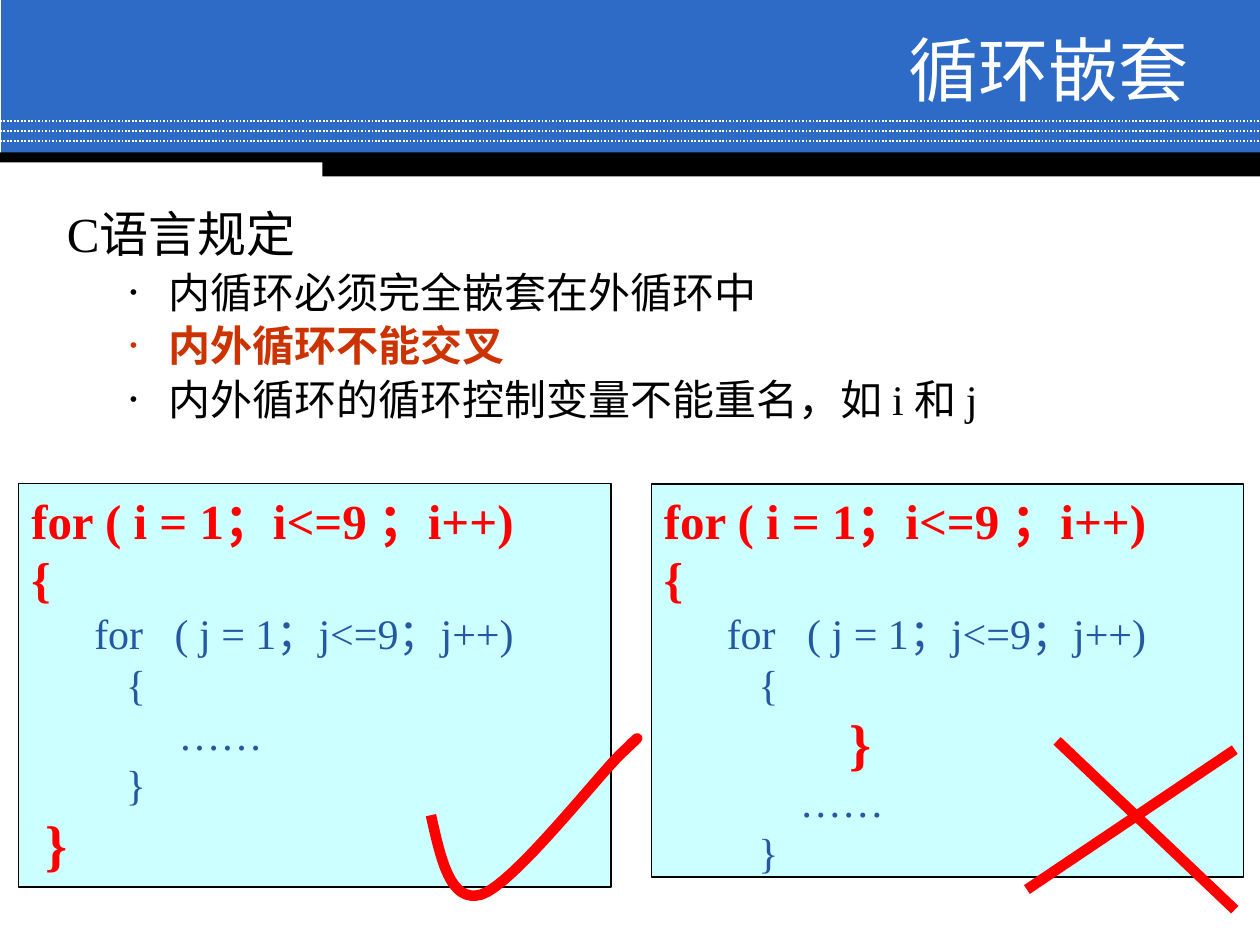
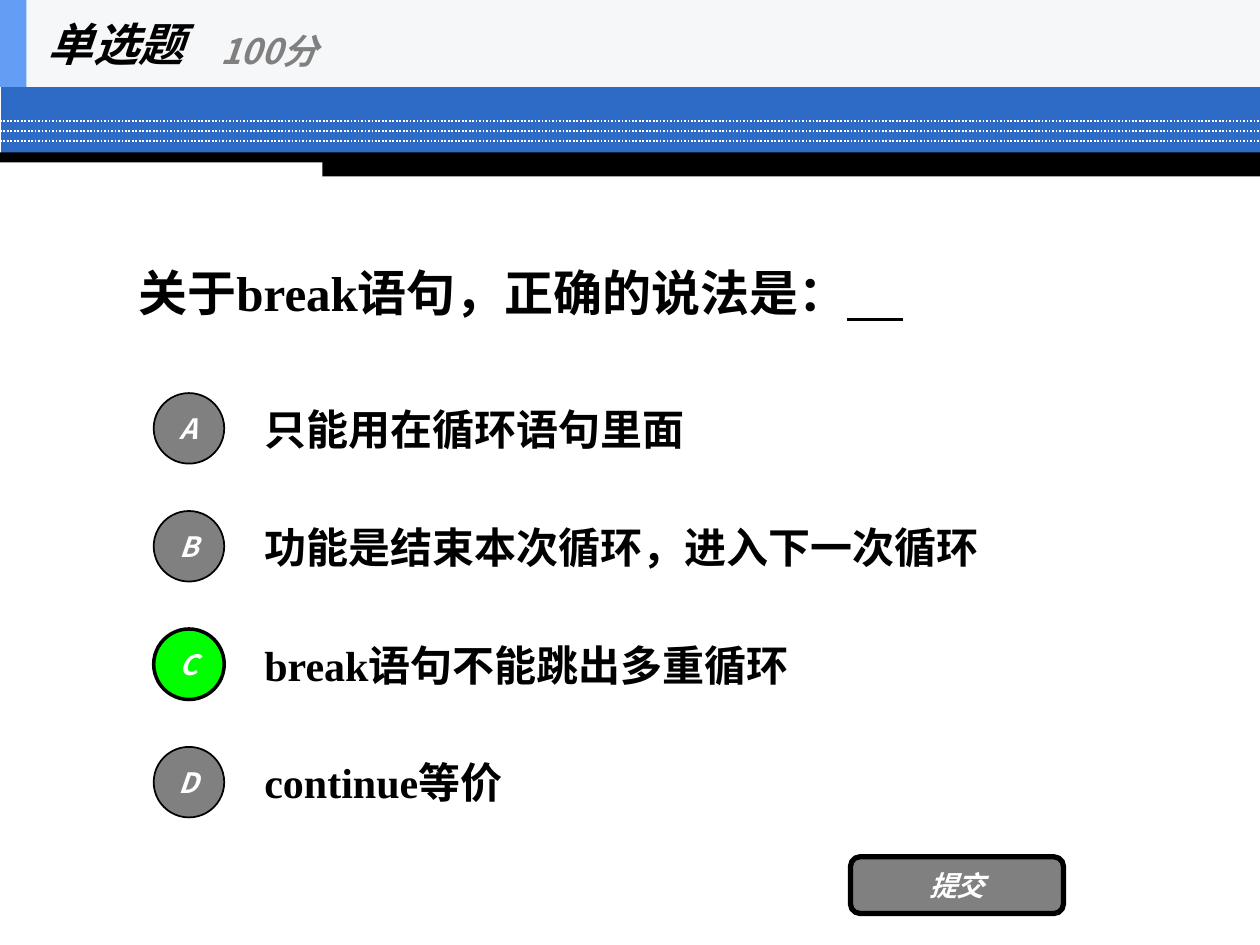
from dataclasses import dataclass
from pptx import Presentation
from pptx.dml.color import RGBColor
from pptx.enum.dml import MSO_LINE
from pptx.enum.shapes import MSO_CONNECTOR, MSO_SHAPE
from pptx.enum.text import MSO_ANCHOR, MSO_AUTO_SIZE, PP_ALIGN
from pptx.oxml.ns import qn
from pptx.util import Inches, Pt
from lxml.etree import SubElement


@dataclass(frozen=True)
class Theme:
    serif: str = "Times New Roman"
    sans: str = "Noto Sans CJK SC"
    band: str = "2D6BC7"
    black: str = "000000"
    white: str = "FFFFFF"
    red: str = "FF0000"
    warning: str = "CC3300"
    inner_code: str = "2558A3"
    code_fill: str = "CCFFFF"
    grey: str = "808080"
    correct: str = "00FF00"
    header: str = "F6F7F8"
    accent: str = "639EF4"
    title_size: int = 40
    heading_size: int = 28
    brace_size: int = 32
    text_size: int = 24
    label_size: int = 16
    type_size: int = 26
    score_size: int = 20


THEME = Theme()


def style(size, color=THEME.black, name=THEME.serif, **extra):
    return {"size": Pt(size), "color": color, "name": name, **extra}


TITLE = style(THEME.title_size, THEME.white, THEME.sans, bold=False)
HEADING = style(THEME.heading_size)
POINT = style(THEME.text_size)
WARNING = style(THEME.text_size, THEME.warning, bold=True)
OUTER = style(THEME.heading_size, THEME.red, bold=True)
INNER = style(THEME.text_size, THEME.inner_code)
CLOSING = style(THEME.brace_size, THEME.red, bold=True)
QUESTION = style(THEME.heading_size, bold=True)
BLANK = {**QUESTION, "underline": True}
OPTION = style(THEME.text_size, bold=True)
LABEL = style(THEME.label_size, THEME.white, THEME.sans, bold=True, italic=True)
QUIZ_TYPE = style(THEME.type_size, THEME.black, THEME.sans, bold=True, italic=True)
SCORE = style(THEME.score_size, THEME.grey, THEME.sans, bold=True, italic=True)

RULES = [
    ("C语言规定", HEADING),
    ("内循环必须完全嵌套在外循环中", POINT),
    ("内外循环不能交叉", WARNING),
    ("内外循环的循环控制变量不能重名，如 i 和 j", POINT),
]

LOOP_START = [
    (0, "for ( i = 1；i<=9 ；i++)", OUTER),
    (0, "{", OUTER),
    (0.5, "for   ( j = 1；j<=9；j++)", INNER),
    (0.75, "{", INNER),
]
NESTED_LOOP = LOOP_START + [
    (1.17, "……", INNER), (0.75, "}", INNER), (0.11, "}", CLOSING),
]
CROSSED_LOOP = LOOP_START + [
    (1.47, "}", CLOSING), (1.08, "……", INNER), (0.75, "}", INNER),
]
CODE_BOXES = [
    ((5.17, 3.84, 4.7, 3.12), CROSSED_LOOP),
    ((0.15, 3.84, 4.7, 3.2), NESTED_LOOP),
]
CHECK_CURVES = [
    ((3.42, 6.47), (3.5, 6.82), (3.57, 7.17), (3.82, 7.1)),
    ((3.82, 7.1), (4.07, 7.02), (4.72, 6.19), (4.92, 5.99)),
    ((4.92, 5.99), (5.12, 5.8), (5.06, 5.86), (5, 5.91)),
]
CROSS_STROKES = [((9.8, 5.95), (8.15, 7.06)), ((8.39, 5.88), (9.8, 7.22))]

OPTIONS = [
    ("A", "只能用在循环语句里面"),
    ("B", "功能是结束本次循环，进入下一次循环"),
    ("C", "break语句不能跳出多重循环"),
    ("D", "continue等价"),
]
ANSWER = "C"
OPTION_TOP, OPTION_STEP = 3.05, 0.936


def place(box, area):
    for side, value in zip(("left", "top", "width", "height"), area):
        setattr(box, side, Inches(value))


def add_span(para, text, look):
    span = para.add_run()
    span.text = text
    for key, value in look.items():
        if key == "color":
            span.font.color.rgb = RGBColor.from_string(value)
        else:
            setattr(span.font, key, value)
    east_asian = SubElement(span.font._element, qn("a:ea"))
    east_asian.set("typeface", THEME.sans)


def write(box, lines, anchor=MSO_ANCHOR.MIDDLE, align=PP_ALIGN.LEFT):
    frame = box.text_frame
    settings = {"word_wrap": True, "auto_size": MSO_AUTO_SIZE.NONE, "vertical_anchor": anchor}
    for key, value in settings.items():
        setattr(frame, key, value)
    paras = []
    for number, spans in enumerate(lines):
        para = frame.add_paragraph() if number else frame.paragraphs[0]
        para.alignment = align
        for text, look in spans:
            add_span(para, text, look)
        paras.append(para)
    return paras


def indent(para, left, first=0):
    properties = para._p.get_or_add_pPr()
    properties.set("marL", str(Inches(left)))
    properties.set("indent", str(Inches(first)))
    return properties


def add_text(page, area, text, look):
    box = page.shapes.add_textbox(*map(Inches, area))
    write(box, [[(text, look)]])
    return box


def add_block(page, kind, area, fill, line_width=0):
    block = page.shapes.add_shape(kind, *map(Inches, area))
    block.shadow.inherit = False
    block.fill.solid()
    block.fill.fore_color.rgb = RGBColor.from_string(fill)
    if line_width:
        block.line.width = Pt(line_width)
        block.line.color.rgb = RGBColor.from_string(THEME.black)
    else:
        block.line.fill.background()
    return block


def add_stroke(page, start, end, color, width):
    stroke = page.shapes.add_connector(MSO_CONNECTOR.STRAIGHT, *map(Inches, start + end))
    stroke.line.color.rgb = RGBColor.from_string(color)
    stroke.line.width = Pt(width)
    SubElement(stroke._element.spPr, qn("a:effectLst"))
    return stroke


def move_band_to_master(deck, page):
    band = [add_block(page, MSO_SHAPE.RECTANGLE, (0.01, 0, 9.99, 1.23), THEME.band)]
    for row in range(3):
        height = 0.96 + 0.08 * row
        rule = add_stroke(page, (0, height), (10, height), THEME.white, 1)
        rule.line.dash_style = MSO_LINE.ROUND_DOT
        band.append(rule)
    for area in ((0, 1.21, 10, 0.08), (2.56, 1.24, 7.44, 0.16)):
        band.append(add_block(page, MSO_SHAPE.RECTANGLE, area, THEME.black))
    tree = deck.slide_master.shapes.element
    for number, part in enumerate(band):
        part.element.xpath(".//p:cNvPr")[0].set("id", str(100 + number))
        tree.insert(2 + number, part.element)


def add_rules(body):
    place(body, (0.43, 1.62, 9, 1.89))
    paras = write(body, [[rule] for rule in RULES], MSO_ANCHOR.TOP)
    for number, para in enumerate(paras):
        para.line_spacing = 0.9
        if number:
            para.level = 1
            properties = indent(para, 0.81, -0.31)
            SubElement(properties, qn("a:buSzPct")).set("val", "50000")
            SubElement(properties, qn("a:buChar")).set("char", "•")
        else:
            SubElement(indent(para, 0.38, -0.38), qn("a:buNone"))


def add_code(page, area, code):
    box = add_block(page, MSO_SHAPE.RECTANGLE, area, THEME.code_fill, 0.75)
    paras = write(box, [[(text, look)] for _, text, look in code], MSO_ANCHOR.TOP)
    for para, (left, _, _) in zip(paras, code):
        indent(para, left)


def curve_point(curve, t):
    weights = ((1 - t) ** 3, 3 * t * (1 - t) ** 2, 3 * t * t * (1 - t), t ** 3)
    return tuple(Inches(sum(w * point[axis] for w, point in zip(weights, curve)))
                 for axis in (0, 1))


def add_check(page, steps=16):
    points = [curve_point(curve, step / steps)
              for curve in CHECK_CURVES for step in range(1, steps + 1)]
    builder = page.shapes.build_freeform(*curve_point(CHECK_CURVES[0], 0))
    builder.add_line_segments(points, close=False)
    check = builder.convert_to_shape()
    check.shadow.inherit = False
    check.fill.background()
    check.line.color.rgb = RGBColor.from_string(THEME.red)
    check.line.width = Pt(6)


def build_nesting(page):
    title, body = page.placeholders
    place(title, (2.75, 0.25, 6.78, 0.58))
    write(title, [[("循环嵌套", TITLE)]], align=PP_ALIGN.RIGHT)
    add_rules(body)
    for area, code in CODE_BOXES:
        add_code(page, area, code)
    add_check(page)
    for start, end in CROSS_STROKES:
        add_stroke(page, start, end, THEME.red, 6)


def build_quiz(page):
    question = page.shapes.title
    place(question, (1, 1.15, 8, 2.34))
    write(question, [[("关于break语句，正确的说法是：", QUESTION), ("     ", BLANK)]])
    for row, (letter, text) in enumerate(OPTIONS):
        top = OPTION_TOP + OPTION_STEP * row
        add_text(page, (2, top, 7, 0.7), text, OPTION)
        fill, width = (THEME.correct, 2) if letter == ANSWER else (THEME.grey, 1)
        circle = add_block(page, MSO_SHAPE.OVAL, (1.22, top + 0.07, 0.56, 0.56), fill, width)
        write(circle, [[(letter, LABEL)]], align=PP_ALIGN.CENTER)
    button = add_block(page, MSO_SHAPE.ROUNDED_RECTANGLE, (6.75, 6.8, 1.69, 0.45), THEME.grey, 3)
    write(button, [[("提交", LABEL)]], align=PP_ALIGN.CENTER)
    for width, fill in ((10, THEME.header), (0.21, THEME.accent)):
        add_block(page, MSO_SHAPE.RECTANGLE, (0, 0, width, 0.69), fill)
    add_text(page, (0.28, 0, 2.08, 0.69), "单选题", QUIZ_TYPE)
    add_text(page, (1.65, 0.12, 2.5, 0.56), "100分", SCORE)


def main():
    deck = Presentation()
    deck.slide_width, deck.slide_height = Inches(10), Inches(7.5)
    content, title_only = deck.slide_layouts[1], deck.slide_layouts[5]
    nesting = deck.slides.add_slide(content)
    move_band_to_master(deck, nesting)
    build_nesting(nesting)
    build_quiz(deck.slides.add_slide(title_only))
    deck.save("out.pptx")


if __name__ == "__main__":
    main()
